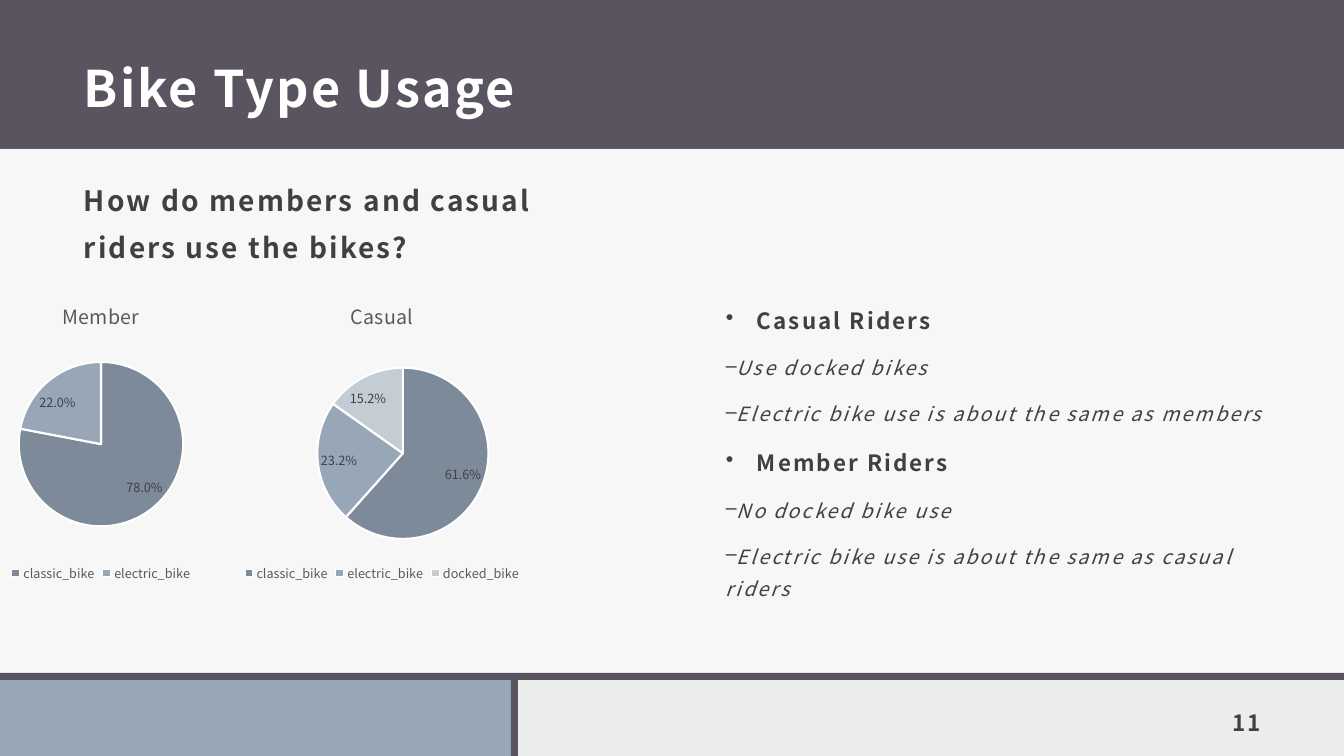
import lxml.etree
import pptx
import pptx.chart.data
import pptx.dml.color
import pptx.enum.chart
import pptx.enum.shapes
import pptx.enum.text
import pptx.oxml.ns
import pptx.util

RGBColor = pptx.dml.color.RGBColor
PLUM = RGBColor(0x59, 0x54, 0x60)
MIST = RGBColor(0xEB, 0xED, 0xEB)
WHITE = RGBColor(0xFF, 0xFF, 0xFF)
INK = RGBColor(0x40, 0x40, 0x40)
GREY = RGBColor(0x59, 0x59, 0x59)
BLACK = RGBColor(0, 0, 0)
SLATE = RGBColor(0x7D, 0x8A, 0x99)
BLUE = RGBColor(0x97, 0xA7, 0xB8)
PALE = RGBColor(0xC4, 0xCC, 0xD4)

BIKES = ["classic_bike", "electric_bike", "docked_bike"]
BIKE_COLORS = [SLATE, BLUE, PALE]
Anchor = pptx.enum.text.MSO_ANCHOR
Align = pptx.enum.text.PP_ALIGN
qn = pptx.oxml.ns.qn


def px(length):
    return pptx.util.Emu(round(length * 914400 / 100.8))


def add_child(parent, tag, **attributes):
    return lxml.etree.SubElement(parent, qn(tag), **attributes)


def style_font(font, size, color, bold=False, italic=False):
    font.name = "Noto Sans CJK JP"
    font.size = pptx.util.Pt(size)
    font.color.rgb = color
    font.bold = bold
    font.italic = italic


def write_text(para, text, size=16, color=INK, bold=True, italic=False,
               align=Align.LEFT, leading=None, before=0,
               bullet=None, margin=0, indent=0):
    para.alignment = align
    para.line_spacing = leading
    para.space_before = pptx.util.Pt(before)
    if bullet:
        props = para._p.get_or_add_pPr()
        props.set("marL", str(px(margin)))
        props.set("indent", str(px(indent)))
        add_child(props, "a:buChar", char=bullet)
    span = para.add_run()
    span.text = text
    style_font(span.font, size, color, bold, italic)
    span._r.get_or_add_rPr().set("spc", "150")


class SlideBuilder:
    def __init__(self, page):
        self.page = page
        page.background.fill.solid()
        page.background.fill.fore_color.rgb = MIST

    def rect(self, left, top, width, height, color, opacity=100):
        box = self.page.shapes.add_shape(
            pptx.enum.shapes.MSO_SHAPE.RECTANGLE,
            px(left), px(top), px(width), px(height))
        box.shadow.inherit = False
        box.fill.solid()
        box.fill.fore_color.rgb = color
        box.line.fill.background()
        if opacity < 100:
            paint = box.element.spPr.find(".//" + qn("a:srgbClr"))
            add_child(paint, "a:alpha", val=str(opacity * 1000))

    def text(self, left, top, width, height, lines, anchor=Anchor.TOP):
        box = self.page.shapes.add_textbox(px(left), px(top), px(width), px(height))
        frame = box.text_frame
        frame.word_wrap = True
        frame.vertical_anchor = anchor
        frame.margin_left = frame.margin_right = frame.margin_top = px(12)
        frame.margin_bottom = px(10)
        for index, (text, style) in enumerate(lines):
            para = frame.add_paragraph() if index else frame.paragraphs[0]
            write_text(para, text, **style)

    def pie(self, left, top, width, height, title, shares):
        data = pptx.chart.data.CategoryChartData(number_format="0.0%")
        data.categories = BIKES
        data.add_series(title, shares)
        chart = self.page.shapes.add_chart(
            pptx.enum.chart.XL_CHART_TYPE.PIE,
            px(left), px(top), px(width), px(height), data).chart
        style_font(chart.font, 10, BLACK)
        chart.has_title = True
        span = chart.chart_title.text_frame.paragraphs[0].add_run()
        span.text = title
        style_font(span.font, 14, GREY)
        chart.chart_title.include_in_layout = False

        chart.has_legend = True
        legend = chart.legend
        legend.position = pptx.enum.chart.XL_LEGEND_POSITION.BOTTOM
        legend.include_in_layout = False
        style_font(legend.font, 9, GREY)

        plot = chart.plots[0]
        plot.vary_by_categories = True
        for index, color in enumerate(BIKE_COLORS):
            slice_format = plot.series[0].points[index].format
            slice_format.fill.solid()
            slice_format.fill.fore_color.rgb = color
            slice_format.line.color.rgb = WHITE
            slice_format.line.width = pptx.util.Pt(1.5)
            if shares[index] is None:
                entry = lxml.etree.Element(qn("c:legendEntry"))
                add_child(entry, "c:idx", val=str(index))
                add_child(entry, "c:delete", val="1")
                legend._element.find(qn("c:legendPos")).addnext(entry)

        labels = plot.series[0].data_labels
        labels.show_value = True
        labels.number_format = "0.0%"
        labels.number_format_is_linked = False
        labels.position = pptx.enum.chart.XL_LABEL_POSITION.BEST_FIT
        style_font(labels.font, 9, INK)


def main():
    deck = pptx.Presentation()
    deck.slide_width, deck.slide_height = px(1344), px(756)
    slide = SlideBuilder(deck.slides.add_slide(deck.slide_layouts[6]))

    slide.rect(0, 0, 1344, 149, PLUM)
    slide.rect(0, 149, 1344, 524, WHITE, opacity=60)
    slide.rect(0, 673, 513, 83, BLUE)
    slide.rect(0, 673, 1344, 7, PLUM)
    slide.rect(511, 674, 7, 82, PLUM)

    body = dict(leading=1.4, before=9.3)
    heading = dict(body, bullet="•", margin=31, indent=-31)
    detail = dict(body, size=14, bold=False, italic=True,
                  bullet="–", margin=0, indent=-35)

    slide.text(72, 20, 1202, 103,
               [("Bike Type Usage", dict(size=36, color=WHITE, leading=1.5))],
               Anchor.MIDDLE)
    slide.text(72, 158, 562, 51,
               [("How do members and casual riders use the bikes?",
                 dict(body, size=20))])
    slide.text(1165, 696, 108, 50, [("11", dict(align=Align.RIGHT))], Anchor.BOTTOM)
    slide.text(714, 284, 574, 373, [
        ("Casual Riders", heading),
        ("Use docked bikes", detail),
        ("Electric bike use is about the same as members", detail),
        ("Member Riders", heading),
        ("No docked bike use", detail),
        ("Electric bike use is about the same as casual riders", detail),
    ])
    slide.pie(-151, 284, 504, 302, "Member", [0.78, 0.22, None])
    slide.pie(130, 284, 504, 302, "Casual", [0.616, 0.232, 0.152])

    deck.save("out.pptx")


if __name__ == "__main__":
    main()
